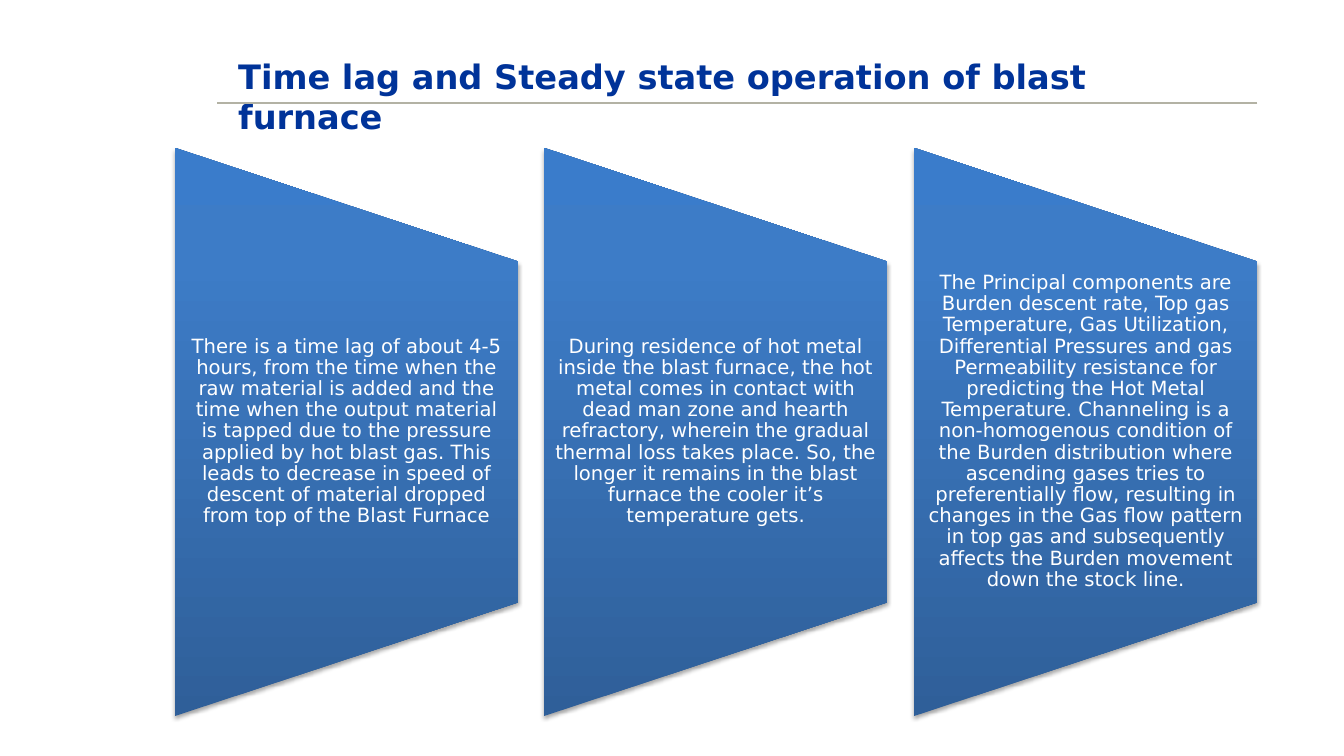
from lxml.etree import SubElement
from pptx import Presentation
from pptx.dml.color import RGBColor
from pptx.enum.shapes import MSO_CONNECTOR, MSO_SHAPE
from pptx.enum.text import MSO_ANCHOR, MSO_AUTO_SIZE, PP_ALIGN
from pptx.oxml import parse_xml
from pptx.oxml.ns import nsdecls, qn
from pptx.util import Inches, Pt

PX_PER_INCH = 100.8
PANEL_LEFT, PANEL_RIGHT = 175, 1257
PANEL_TOP, PANEL_WIDTH, PANEL_HEIGHT = 148, 343, 568
TEXT_TOP, TEXT_HEIGHT = 261, 341
GRADIENT_STOPS = [(0, "2F5F99"), (80, "3D7CC7"), (100, "3A7CCB")]

TITLE = "Time lag and Steady state operation of blast furnace"
PANELS = [
    "There is a time lag of about 4-5 hours, from the time when the raw material "
    "is added and the time when the output material is tapped due to the pressure "
    "applied by hot blast gas. This leads to decrease in speed of descent of "
    "material dropped from top of the Blast Furnace",
    "During residence of hot metal inside the blast furnace, the hot metal comes "
    "in contact with dead man zone and hearth refractory, wherein the gradual "
    "thermal loss takes place. So, the longer it remains in the blast furnace "
    "the cooler it’s temperature gets.",
    "The Principal components are Burden descent rate, Top gas Temperature, Gas "
    "Utilization, Differential Pressures and gas Permeability resistance for "
    "predicting the Hot Metal Temperature. Channeling is a non-homogenous "
    "condition of the Burden distribution where ascending gases tries to "
    "preferentially flow, resulting in changes in the Gas flow pattern in top gas "
    "and subsequently affects the Burden movement down the stock line.",
]


def px(value):
    return Inches(value / PX_PER_INCH)


def color(value):
    return RGBColor.from_string(value)


def apply(target, formats):
    for name, value in formats.items():
        setattr(target, name, value)


class SlideBuilder:
    font_name = "DejaVu Sans"

    def __init__(self, slide):
        self.slide = slide

    def fill_text(self, shape, text, frame_format, paragraph_format, font_format, font_color):
        frame = shape.text_frame
        apply(frame, frame_format)
        paragraph = frame.paragraphs[0]
        apply(paragraph, paragraph_format)
        run = paragraph.add_run()
        run.text = text
        apply(run.font, {"name": self.font_name, **font_format})
        run.font.color.rgb = color(font_color)

    def title(self, text, left, top, width, height):
        shape = self.slide.shapes.title
        apply(shape, {"left": px(left), "top": px(top),
                      "width": px(width), "height": px(height)})
        self.fill_text(shape, text,
                       {"word_wrap": True, "vertical_anchor": MSO_ANCHOR.TOP,
                        "auto_size": MSO_AUTO_SIZE.SHAPE_TO_FIT_TEXT},
                       {"alignment": PP_ALIGN.LEFT},
                       {"size": Pt(24), "bold": True}, "003399")

    def rule(self, left, right, y):
        line = self.slide.shapes.add_connector(
            MSO_CONNECTOR.STRAIGHT, px(right), px(y), px(left), px(y))
        line.line.color.rgb = color("B3B2A4")
        line.line.width = Pt(1.5)
        SubElement(line._element.spPr, qn("a:effectLst"))

    def panel(self, left, top, width, height):
        shape = self.slide.shapes.add_shape(
            MSO_SHAPE.FLOWCHART_MANUAL_OPERATION,
            px(left + (width - height) / 2), px(top + (height - width) / 2),
            px(height), px(width))
        shape.rotation = 270
        shape.line.fill.background()
        stops = "".join(
            f'<a:gs pos="{position * 1000}"><a:srgbClr val="{value}"/></a:gs>'
            for position, value in GRADIENT_STOPS)
        gradient = parse_xml(
            f'<a:gradFill {nsdecls("a")} rotWithShape="0"><a:gsLst>{stops}</a:gsLst>'
            '<a:lin ang="16200000" scaled="0"/></a:gradFill>')
        shadow = parse_xml(
            f'<a:effectLst {nsdecls("a")}><a:outerShdw blurRad="{Pt(3.1)}" '
            f'dist="{Pt(1.8)}" dir="5400000" rotWithShape="0"><a:srgbClr val="000000">'
            '<a:alpha val="35000"/></a:srgbClr></a:outerShdw></a:effectLst>')
        properties = shape._element.spPr
        properties.find(qn("a:prstGeom")).addnext(gradient)
        properties.append(shadow)

    def panel_text(self, text, left, top, width, height):
        box = self.slide.shapes.add_textbox(px(left), px(top), px(width), px(height))
        self.fill_text(box, text,
                       {"word_wrap": True, "vertical_anchor": MSO_ANCHOR.MIDDLE,
                        "margin_left": Inches(0.1), "margin_right": Inches(0.1),
                        "margin_top": 0, "margin_bottom": 0},
                       {"alignment": PP_ALIGN.CENTER, "line_spacing": 0.9,
                        "space_after": Pt(5)},
                       {"size": Pt(14)}, "FFFFFF")


def main():
    presentation = Presentation()
    presentation.slide_width = Inches(13.33)
    presentation.slide_height = Inches(7.5)
    slide = presentation.slides.add_slide(presentation.slide_layouts[5])
    builder = SlideBuilder(slide)
    builder.rule(217, PANEL_RIGHT, 103)
    builder.title(TITLE, 228, 51, 1016, 50)
    pitch = (PANEL_RIGHT - PANEL_LEFT - PANEL_WIDTH) / (len(PANELS) - 1)
    for index, text in enumerate(PANELS):
        left = round(PANEL_LEFT + index * pitch)
        builder.panel(left, PANEL_TOP, PANEL_WIDTH, PANEL_HEIGHT)
        builder.panel_text(text, left, TEXT_TOP, PANEL_WIDTH, TEXT_HEIGHT)
    presentation.save("out.pptx")


if __name__ == "__main__":
    main()
